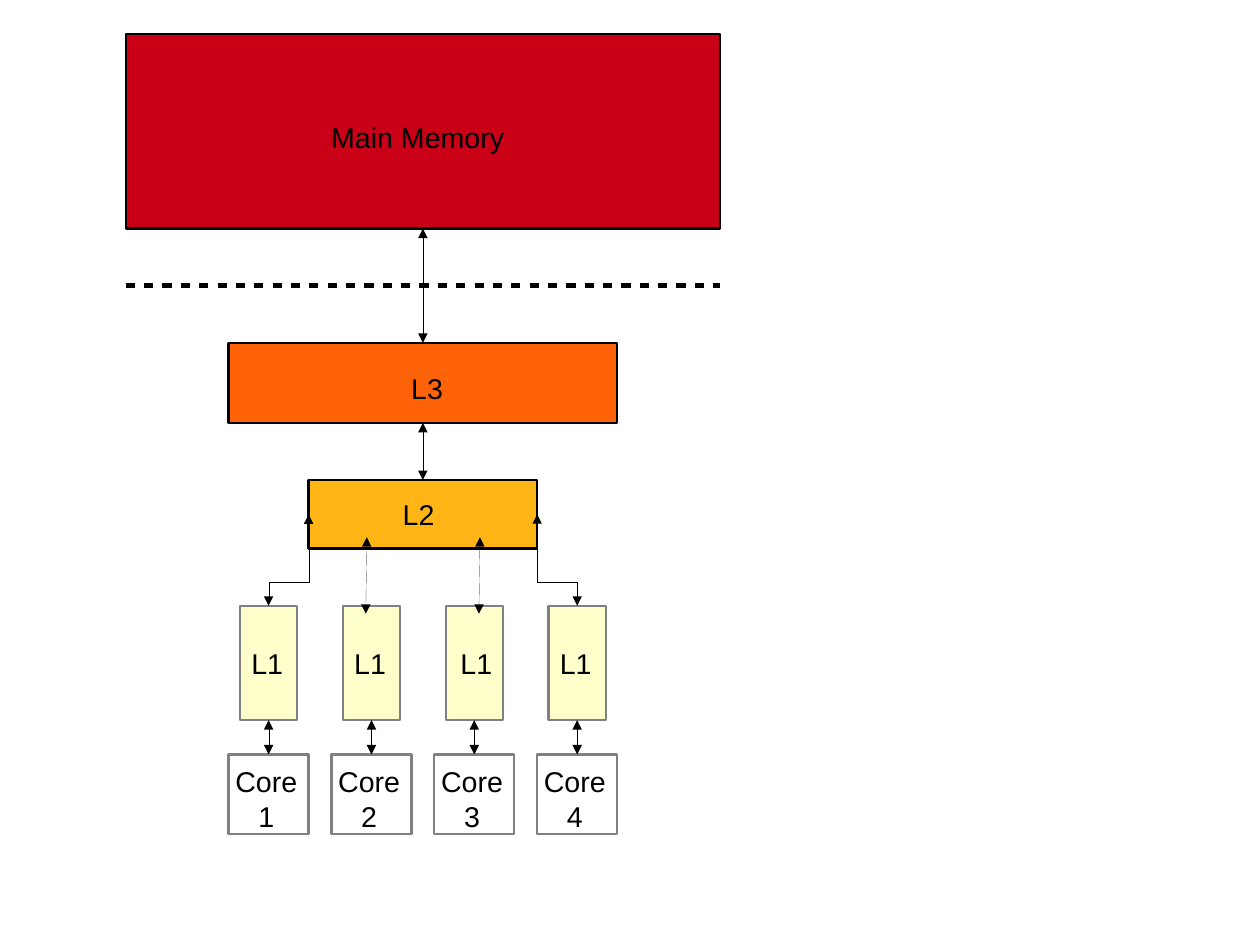
from lxml import etree
from pptx import Presentation
from pptx import util as u
from pptx.dml.color import RGBColor
from pptx.enum import shapes, text
from pptx.oxml import ns

BLACK, GREY = "000000", "808080"
AXIS = 266.4      # shared centre of memory, L3 and L2
PITCH = 64.8      # distance between neighbouring cores
MEMORY = (79.2, 21.6, 374.4, 122.4)
L3 = (144, 216, 244.8, 50.4)
L2 = (194.4, 302.4, 144, 43.2)
FIRST_L1 = (151.2, 381.6, 36, 72)
FIRST_CORE = (144, 475.2, 50.4, 50.4)


def color(hex_string):
    return RGBColor.from_string(hex_string)


def add_xml(parent, tag, **attributes):
    return etree.SubElement(parent, ns.qn(tag), attributes)


def add_block(page, box, fill, line=BLACK):
    block = page.shapes.add_shape(shapes.MSO_SHAPE.RECTANGLE, *map(u.Pt, box))
    block.shadow.inherit = False
    block.fill.solid()
    block.fill.fore_color.rgb = color(fill)
    block.line.color.rgb = color(line)
    block.line.width = u.Pt(1.45)


def add_label(page, box, *lines, align=text.PP_ALIGN.LEFT, wrap=False):
    label = page.shapes.add_textbox(*map(u.Pt, box))
    frame = label.text_frame
    frame.word_wrap = wrap
    frame.text = "\n".join(lines)
    for para in frame.paragraphs:
        para.alignment = align
        para.font.name = "Arial"
        para.font.size = u.Pt(18)
        para.font.color.rgb = color(BLACK)


def add_line(page, start, end, kind=shapes.MSO_CONNECTOR.STRAIGHT):
    line = page.shapes.add_connector(kind, *map(u.Pt, (*start, *end)))
    line.line.color.rgb = color(BLACK)
    add_xml(line._element.spPr, "a:effectLst")
    return line


def add_arrow(page, start, end, kind=shapes.MSO_CONNECTOR.STRAIGHT):
    """Hairline with a head at both ends."""
    arrow = add_line(page, start, end, kind)
    outline = arrow.line._get_or_add_ln()
    outline.set("w", "0")  # the width property drops a zero
    add_xml(outline, "a:headEnd", type="triangle")
    add_xml(outline, "a:tailEnd", type="triangle")
    return arrow


def add_upright_elbow(page, start, end):
    """Elbow that leaves and arrives vertically: a level one turned by 270 degrees."""
    (x1, y1), (x2, y2) = start, end
    middle_x, middle_y = (x1 + x2) / 2, (y1 + y2) / 2
    half_width, half_height = (x1 - x2) / 2, (y1 - y2) / 2
    elbow = add_arrow(page,
                      (middle_x - half_height, middle_y + half_width),
                      (middle_x + half_height, middle_y - half_width),
                      shapes.MSO_CONNECTOR.ELBOW)
    properties = elbow._element.spPr
    properties.find(ns.qn("a:xfrm")).set("rot", str(270 * 60000))
    guides = properties.find(ns.qn("a:prstGeom")).find(ns.qn("a:avLst"))
    add_xml(guides, "a:gd", name="adj1", fmla="val 25900")


def draw_shared_levels(page):
    add_block(page, MEMORY, "C90016")
    add_block(page, L3, "FF6309")
    add_block(page, L2, "FFB515")
    for upper, lower in ((MEMORY, L3), (L3, L2)):
        add_arrow(page, (AXIS, upper[1] + upper[3]), (AXIS, lower[1]))
    add_label(page, (201.6, 72, 136.8, 27.4), "Main Memory", wrap=True)
    add_label(page, (252, 230, 36, 27.4), "L3", wrap=True)
    add_label(page, (246.6, 309.2, 34.6, 27.4), "L2")


def draw_chip_boundary(page):
    left, _, width, _ = MEMORY
    boundary = add_line(page, (left, 180), (left + width, 180))
    boundary.line.width = u.Pt(2.89)
    dashes = add_xml(boundary.line._get_or_add_ln(), "a:custDash")
    add_xml(dashes, "a:ds", d="200000", sp="200000")


def draw_core(page, number, shift, label_nudge):
    """One core with its L1 cache, moved right by shift."""
    left, top, width, height = FIRST_CORE
    left += shift
    add_block(page, (left, top, width, height), "FFFFFF", GREY)
    cache_left, cache_top, cache_width, cache_height = FIRST_L1
    cache_left += shift
    add_block(page, (cache_left, cache_top, cache_width, cache_height), "FFFFCC", GREY)
    middle = left + width / 2
    add_arrow(page, (middle, cache_top + cache_height), (middle, top))
    add_label(page, (cache_left + label_nudge, cache_top + 21.6, 34.6, 27.4), "L1")
    add_label(page, (left - 2.9, top + 2.7, 53.3, 47.5), "Core", str(number),
              align=text.PP_ALIGN.CENTER)


def draw_cache_links(page):
    left, top, width, height = L2
    cache_left, cache_top, cache_width, _ = FIRST_L1
    first = cache_left + cache_width / 2
    for start, end in ((first, left), (first + 3 * PITCH, left + width)):
        add_upright_elbow(page, (start, cache_top), (end, top + height / 2))
    for x in (230.4, 301.7):
        add_arrow(page, (x, cache_top + 5), (x + 0.7, top + height - 7.2))


def main():
    deck = Presentation()
    deck.slide_width, deck.slide_height = u.Pt(793.75), u.Pt(595.25)
    page = deck.slides.add_slide(deck.slide_layouts[6])
    draw_shared_levels(page)
    draw_chip_boundary(page)
    for index, label_nudge in enumerate((0, 0, 2.2, 0)):
        draw_core(page, index + 1, index * PITCH, label_nudge)
    draw_cache_links(page)
    deck.save("out.pptx")


if __name__ == "__main__":
    main()
